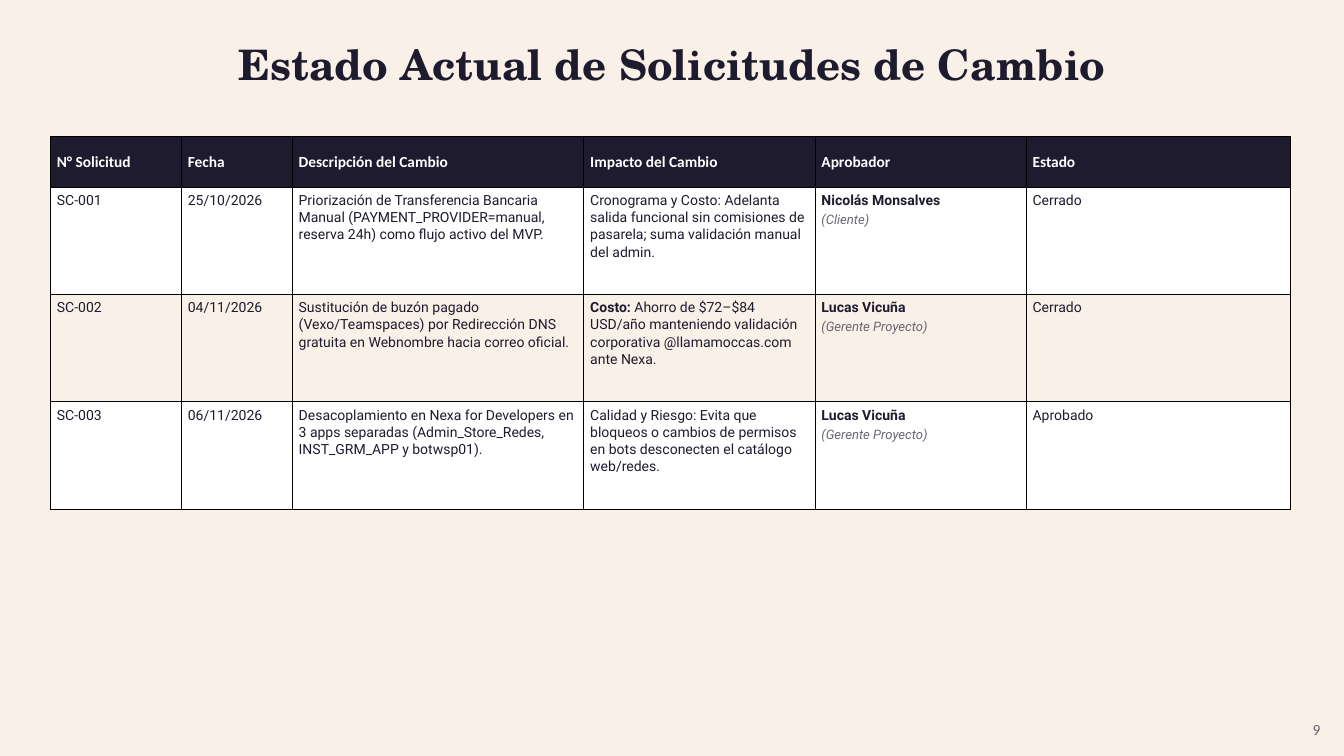
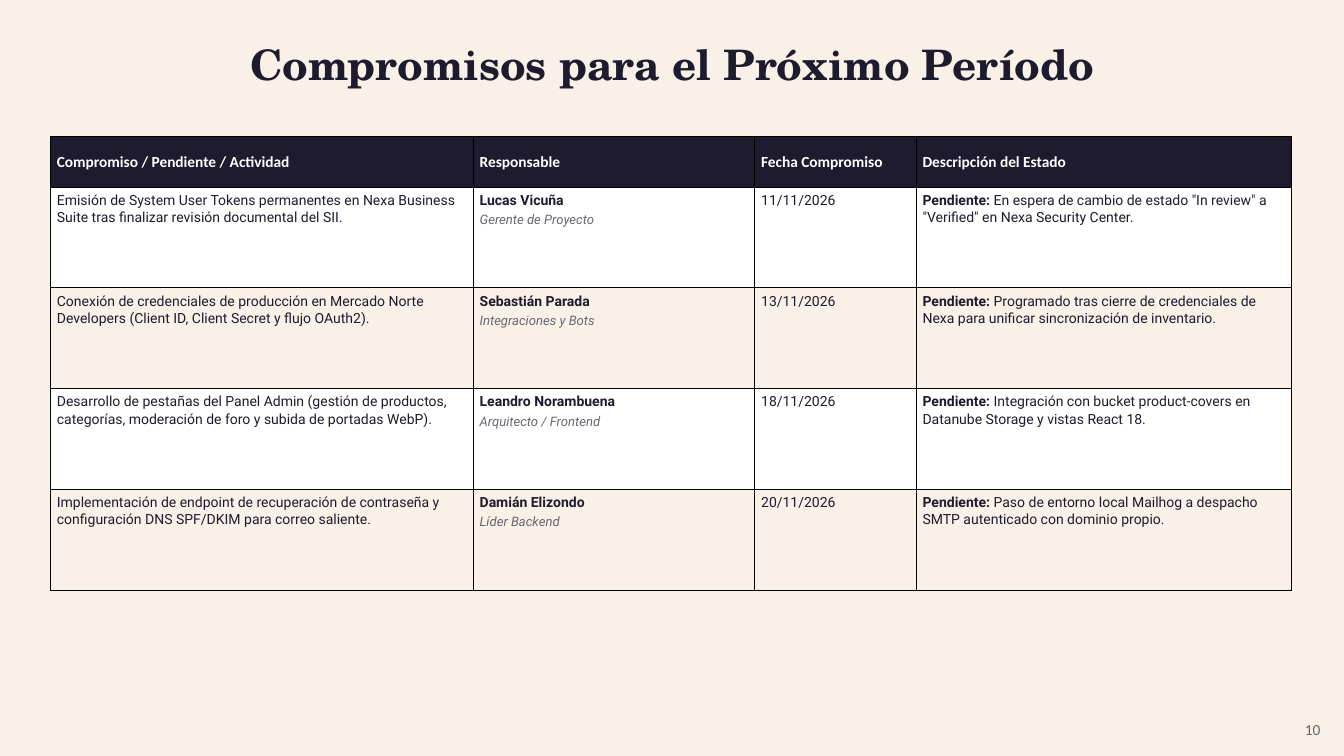
from dataclasses import dataclass

from lxml.etree import SubElement
from pptx import Presentation
from pptx.dml.color import RGBColor
from pptx.enum.text import MSO_ANCHOR, MSO_AUTO_SIZE, PP_ALIGN
from pptx.oxml.ns import qn
from pptx.util import Cm, Pt


@dataclass(frozen=True)
class TextStyle:
    """Font, size and colour of a piece of text."""

    font: str
    size: float
    color: str
    bold: bool = False
    italic: bool = False


class Theme:
    """Colours, text styles and table measures shared by the slides."""

    cream = "F9F0E7"
    white = "FFFFFF"
    ink = "1E1B2E"
    gray = "6B6570"
    border = "000000"
    border_width = Pt(0.37)
    title = TextStyle("TeX Gyre Schola", 45, ink, bold=True)
    number = TextStyle("Calibri", 16.5, gray)
    header = TextStyle("Calibri", 16.5, white, bold=True)
    body = TextStyle("Roboto", 15, ink)
    strong = TextStyle("Roboto", 15, ink, bold=True)
    role = TextStyle("Roboto", 14, gray, italic=True)
    header_height = Cm(1.9)


def heading(text):
    """Describe the content of a header cell."""
    return [[(text, Theme.header)]]


def plain(text):
    """Describe a cell of ordinary text."""
    return [[(text, Theme.body)]]


def person(name, role):
    """Describe a cell with a name above a role."""
    return [[(name, Theme.strong)], [(role, Theme.role)]]


def labelled(label, text):
    """Describe a cell that opens with a bold label."""
    return [[(f"{label}: ", Theme.strong), (text, Theme.body)]]


def format_span(span, style):
    """Apply a text style to a run."""
    span.font.name = style.font
    span.font.size = Pt(style.size)
    span.font.bold = style.bold
    span.font.italic = style.italic
    span.font.color.rgb = RGBColor.from_string(style.color)


def add_text(page, text, style, place, align, line_height):
    """Add a one-line text box without margins."""
    box = page.shapes.add_textbox(*map(Cm, place))
    frame = box.text_frame
    frame.word_wrap = True
    frame.auto_size = MSO_AUTO_SIZE.SHAPE_TO_FIT_TEXT
    frame.margin_left = frame.margin_right = 0
    frame.margin_top = frame.margin_bottom = 0
    frame.text = text
    para = frame.paragraphs[0]
    para.alignment = align
    para.line_spacing = Pt(line_height)
    format_span(para.runs[0], style)


def add_borders(cell):
    """Draw a thin line on the four sides of a cell."""
    properties = cell._tc.get_or_add_tcPr()
    for side in ("a:lnL", "a:lnR", "a:lnT", "a:lnB"):
        line = SubElement(properties, qn(side), w=str(Theme.border_width))
        fill = SubElement(line, qn("a:solidFill"))
        SubElement(fill, qn("a:srgbClr"), val=Theme.border)


def fill_cell(cell, content, color, anchor):
    """Write paragraphs of styled spans in a cell and paint it."""
    cell.margin_left = cell.margin_right = Cm(0.25)
    cell.margin_top = cell.margin_bottom = Cm(0.18)
    cell.vertical_anchor = anchor
    add_borders(cell)
    cell.fill.solid()
    cell.fill.fore_color.rgb = RGBColor.from_string(color)
    frame = cell.text_frame
    for index, spans in enumerate(content):
        para = frame.add_paragraph() if index else frame.paragraphs[0]
        para.line_spacing = 1.05
        para.space_after = Pt(3)
        for text, style in spans:
            span = para.add_run()
            span.text = text
            format_span(span, style)


def add_grid(page, columns, row_height, rows):
    """Add a table with a dark header and alternating body rows; columns pair titles and widths."""
    widths = [Cm(width) for _, width in columns]
    heights = [Theme.header_height] + [Cm(row_height)] * len(rows)
    table = page.shapes.add_table(
        len(heights), len(widths), Cm(1.9), Cm(5.16), sum(widths), sum(heights)
    ).table
    table.horz_banding = False
    for column, width in zip(table.columns, widths):
        column.width = width
    for row, height in zip(table.rows, heights):
        row.height = height
    for index, (title, _) in enumerate(columns):
        fill_cell(table.cell(0, index), heading(title), Theme.ink, MSO_ANCHOR.MIDDLE)
    for row_index, row in enumerate(rows, start=1):
        color = Theme.white if row_index % 2 else Theme.cream
        for index, content in enumerate(row):
            fill_cell(table.cell(row_index, index), content, color, MSO_ANCHOR.TOP)


def add_page(deck, title, number):
    """Add a cream page with its title and number."""
    page = deck.slides.add_slide(deck.slide_layouts[6])
    page.background.fill.solid()
    page.background.fill.fore_color.rgb = RGBColor.from_string(Theme.cream)
    add_text(page, title, Theme.title, (2.11, 1.32, 46.58, 2.92), PP_ALIGN.CENTER, 58.4)
    add_text(page, str(number), Theme.number, (48.06, 27.15, 1.85, 0.99), PP_ALIGN.RIGHT, 21.4)
    return page


def add_change_requests(deck):
    """Build the page on change requests."""
    page = add_page(deck, "Estado Actual de Solicitudes de Cambio", 9)
    columns = [
        ("N° Solicitud", 4.95),
        ("Fecha", 4.19),
        ("Descripción del Cambio", 11.02),
        ("Impacto del Cambio", 8.74),
        ("Aprobador", 7.98),
        ("Estado", 10),
    ]
    manager = person("Lucas Vicuña", "(Gerente Proyecto)")
    requests = [
        (
            "SC-001",
            "25/10/2026",
            "Priorización de Transferencia Bancaria Manual (PAYMENT_PROVIDER=manual, "
            "reserva 24h) como flujo activo del MVP.",
            plain("Cronograma y Costo: Adelanta salida funcional sin comisiones de "
                  "pasarela; suma validación manual del admin."),
            person("Nicolás Monsalves", "(Cliente)"),
            "Cerrado",
        ),
        (
            "SC-002",
            "04/11/2026",
            "Sustitución de buzón pagado (Vexo/Teamspaces) por Redirección DNS "
            "gratuita en Webnombre hacia correo oficial.",
            labelled("Costo", "Ahorro de $72–$84 USD/año manteniendo validación "
                     "corporativa @llamamoccas.com ante Nexa."),
            manager,
            "Cerrado",
        ),
        (
            "SC-003",
            "06/11/2026",
            "Desacoplamiento en Nexa for Developers en 3 apps separadas "
            "(Admin_Store_Redes, INST_GRM_APP y botwsp01).",
            plain("Calidad y Riesgo: Evita que bloqueos o cambios de permisos en bots "
                  "desconecten el catálogo web/redes."),
            manager,
            "Aprobado",
        ),
    ]
    rows = [
        (plain(code), plain(date), plain(change), impact, approver, plain(state))
        for code, date, change, impact, approver, state in requests
    ]
    add_grid(page, columns, 4.06, rows)


def add_commitments(deck):
    """Build the page on commitments for the next period."""
    page = add_page(deck, "Compromisos para el Próximo Período", 10)
    columns = [
        ("Compromiso / Pendiente / Actividad", 15.98),
        ("Responsable", 10.64),
        ("Fecha Compromiso", 6.1),
        ("Descripción del Estado", 14.2),
    ]
    commitments = [
        (
            "Emisión de System User Tokens permanentes en Nexa Business Suite tras "
            "finalizar revisión documental del SII.",
            "Lucas Vicuña",
            "Gerente de Proyecto",
            "11/11/2026",
            'En espera de cambio de estado "In review" a "Verified" en Nexa Security Center.',
        ),
        (
            "Conexión de credenciales de producción en Mercado Norte Developers "
            "(Client ID, Client Secret y flujo OAuth2).",
            "Sebastián Parada",
            "Integraciones y Bots",
            "13/11/2026",
            "Programado tras cierre de credenciales de Nexa para unificar "
            "sincronización de inventario.",
        ),
        (
            "Desarrollo de pestañas del Panel Admin (gestión de productos, categorías, "
            "moderación de foro y subida de portadas WebP).",
            "Leandro Norambuena",
            "Arquitecto / Frontend",
            "18/11/2026",
            "Integración con bucket product-covers en Datanube Storage y vistas React 18.",
        ),
        (
            "Implementación de endpoint de recuperación de contraseña y configuración "
            "DNS SPF/DKIM para correo saliente.",
            "Damián Elizondo",
            "Líder Backend",
            "20/11/2026",
            "Paso de entorno local Mailhog a despacho SMTP autenticado con dominio propio.",
        ),
    ]
    rows = [
        (plain(task), person(name, role), plain(date), labelled("Pendiente", state))
        for task, name, role, date, state in commitments
    ]
    add_grid(page, columns, 3.81, rows)


def main():
    """Build and save the deck."""
    deck = Presentation()
    deck.slide_width = Cm(50.8)
    deck.slide_height = Cm(28.58)
    add_change_requests(deck)
    add_commitments(deck)
    deck.save("out.pptx")


if __name__ == "__main__":
    main()
